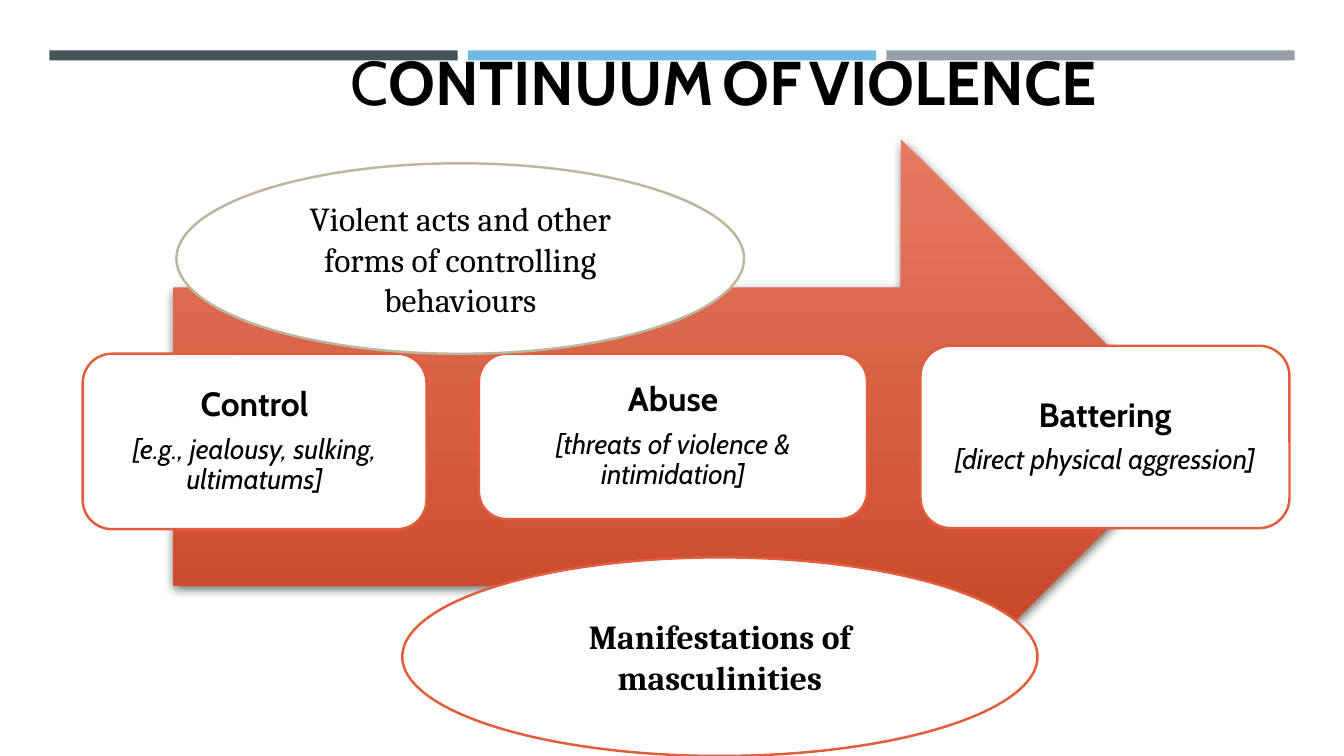
"""Build the Continuum of Violence slide."""
from lxml.etree import SubElement
from pptx import Presentation
from pptx.dml.color import RGBColor
from pptx.enum.shapes import MSO_SHAPE
from pptx.enum.text import MSO_ANCHOR, MSO_AUTO_SIZE, PP_ALIGN
from pptx.oxml.ns import qn
from pptx.util import Inches, Pt

THEME = {
    "ink": RGBColor.from_string("000000"),
    "white": RGBColor.from_string("FFFFFF"),
    "red": RGBColor.from_string("E25D3C"),
    "sand": RGBColor.from_string("BDB59D"),
    "bars": [RGBColor.from_string(c) for c in ("465359", "71B9E4", "969FA7")],
    "fade": [(0, RGBColor.from_string("E77A62")),
             (0.84, RGBColor.from_string("C94828"))],
    "title": {"name": "Cabin", "size": Pt(44.1), "bold": True},
    "thin": {"name": "Cabin", "size": Pt(44.1), "bold": False},
    "gap": {"name": "Cabin", "size": Pt(25.2), "bold": True},
    "head": {"name": "Cabin", "size": Pt(24), "bold": True},
    "note": {"name": "Cabin", "size": Pt(20), "italic": True},
    "oval": {"name": "Cambria", "size": Pt(24), "bold": False},
    "strong": {"name": "Cambria", "size": Pt(24), "bold": True},
}


def draw(kind, box, fill=None, line=None):
    """Add one preset shape without a shadow."""
    shape = slide.shapes.add_shape(kind, *map(Inches, box))
    shape.shadow.inherit = False
    if fill is not None:
        shape.fill.solid()
        shape.fill.fore_color.rgb = fill
    if line is None:
        shape.line.fill.background()
    else:
        shape.line.color.rgb = line
        shape.line.width = Pt(1.75)
    return shape


def write(para, text, style):
    """Add one centred run in a theme style."""
    para.alignment = PP_ALIGN.CENTER
    run = para.add_run()
    run.text = text
    run.font.color.rgb = THEME["ink"]
    for key, value in THEME[style].items():
        setattr(run.font, key, value)


deck = Presentation()
deck.slide_width, deck.slide_height = Inches(13.33), Inches(7.5)
slide = deck.slides.add_slide(deck.slide_layouts[5])

for i, tint in enumerate(THEME["bars"]):
    draw(MSO_SHAPE.RECTANGLE, (0.49 + 4.15 * i, 0.5, 4.05, 0.1), tint)

arrow = draw(MSO_SHAPE.RIGHT_ARROW, (1.72, 1.38, 10.17, 5.91))
arrow.fill.gradient()
arrow.fill.gradient_angle = 270
for stop, (place, tint) in zip(arrow.fill.gradient_stops, THEME["fade"]):
    stop.position, stop.color.rgb = place, tint
glow = SubElement(arrow.element.spPr.find(qn("a:effectLst")), qn("a:outerShdw"),
                  blurRad=str(Pt(7)), dist=str(Pt(3)), dir=str(84 * 60000),
                  rotWithShape="0")
shade = SubElement(glow, qn("a:srgbClr"), val=str(THEME["ink"]))
SubElement(shade, qn("a:alpha"), val="60000")

cards = [
    ((0.82, 3.51, 3.41, 1.74), "Control", "[e.g., jealousy, sulking, ultimatums]"),
    ((4.75, 3.51, 3.85, 1.64), "Abuse", "[threats of violence & intimidation]"),
    ((9.13, 3.43, 3.66, 1.81), "Battering", "[direct physical aggression]"),
]
for box, head, note in cards:
    card = draw(MSO_SHAPE.ROUNDED_RECTANGLE, box, THEME["white"], THEME["red"])
    frame = card.text_frame
    frame.word_wrap = True
    frame.vertical_anchor = MSO_ANCHOR.MIDDLE
    for side in ("left", "top", "right", "bottom"):
        setattr(frame, f"margin_{side}", Inches(0.1))
    for para, text, style in ((frame.paragraphs[0], head, "head"),
                              (frame.add_paragraph(), note, "note")):
        para.line_spacing = 0.9
        para.space_after = Pt(8)
        write(para, text, style)

title = slide.shapes.title
title.left, title.top, title.width, title.height = map(Inches, (2, 0.58, 10.36, 1.04))
frame = title.text_frame
frame.auto_size = MSO_AUTO_SIZE.NONE
frame.word_wrap = True
frame.vertical_anchor = MSO_ANCHOR.BOTTOM
frame.margin_top, frame.margin_bottom = 0, Inches(0.45)
for text, style in (("C", "thin"), ("ONTINUUM", "title"), (" ", "gap"),
                    ("OF", "title"), (" ", "gap"), ("VIOLENCE", "title")):
    write(frame.paragraphs[0], text, style)

ovals = [
    ((1.75, 1.62, 5.63, 1.89), "sand", "oval",
     "Violent acts and other forms of controlling behaviours"),
    ((3.99, 5.53, 6.3, 1.97), "red", "strong", "Manifestations of masculinities"),
]
for box, edge, style, text in ovals:
    oval = draw(MSO_SHAPE.OVAL, box, THEME["white"], THEME[edge])
    oval.text_frame.word_wrap = True
    oval.text_frame.vertical_anchor = MSO_ANCHOR.MIDDLE
    write(oval.text_frame.paragraphs[0], text, style)

deck.save("out.pptx")
